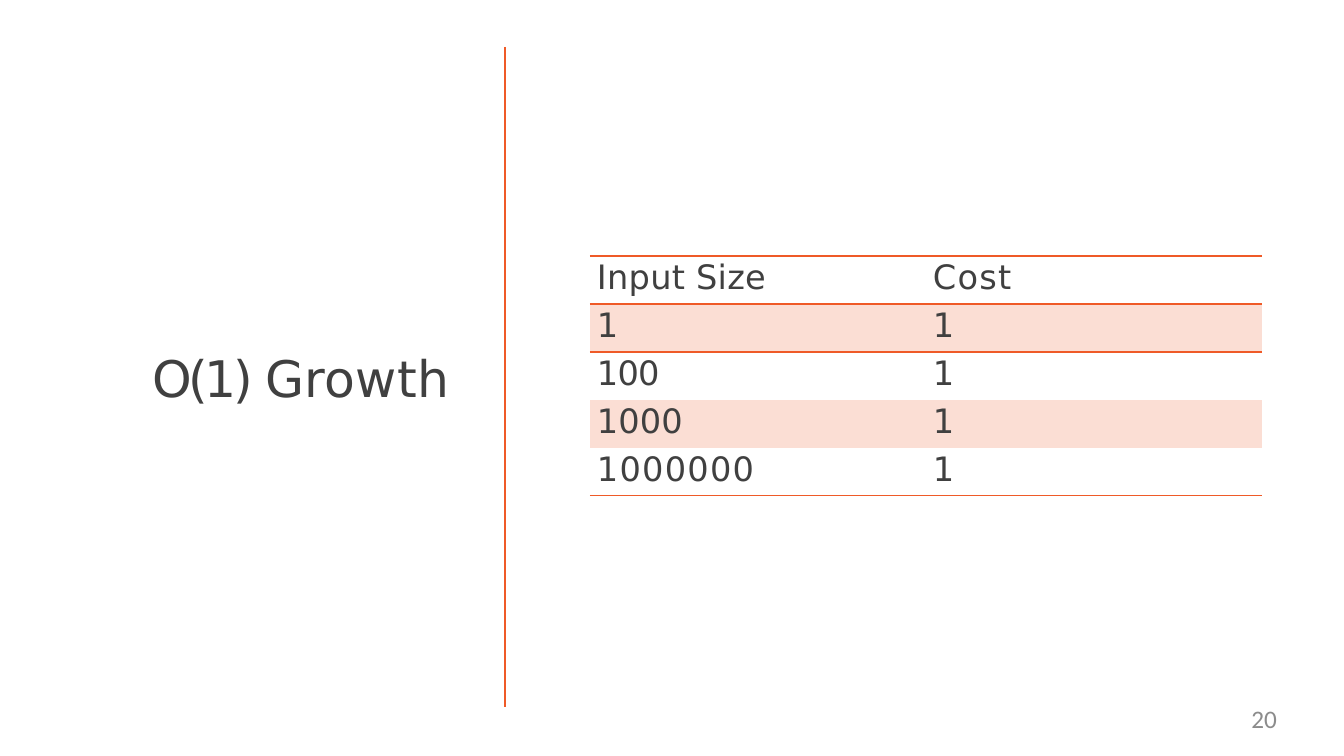
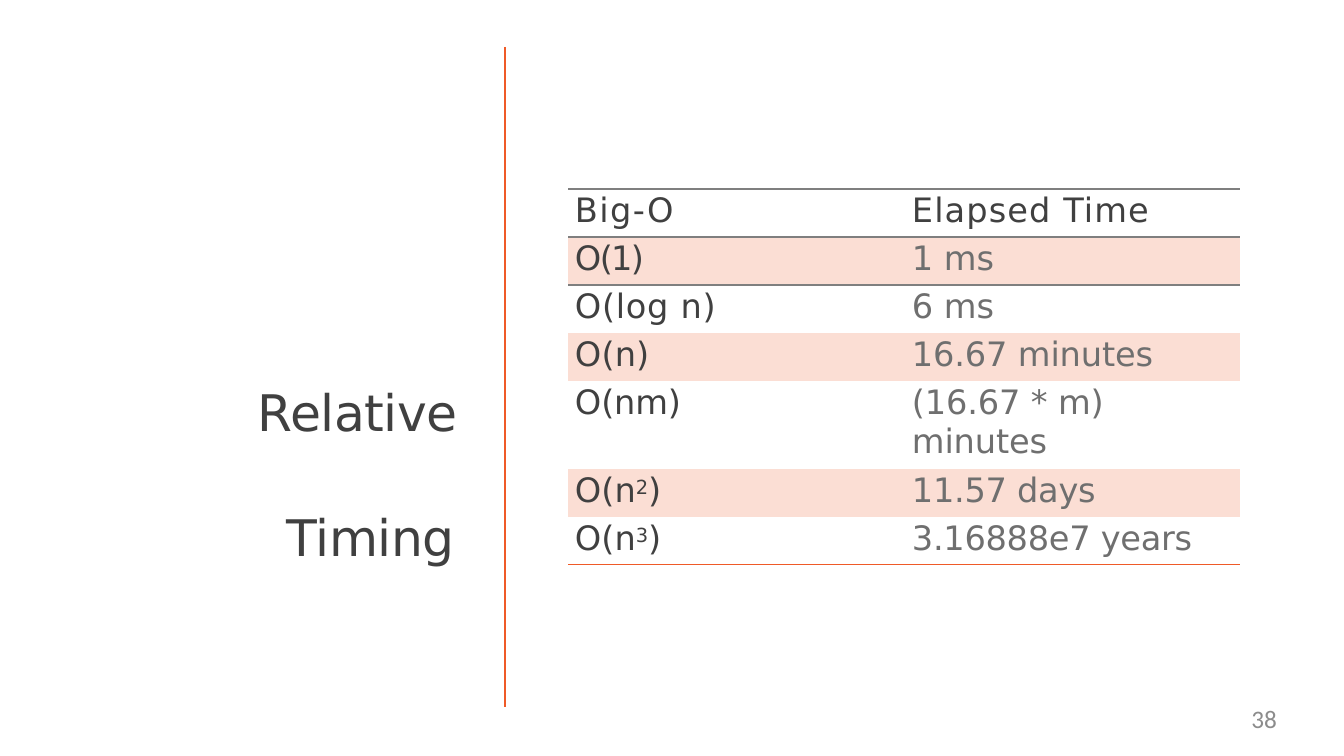
from lxml import etree
from pptx import Presentation
from pptx.dml.color import RGBColor
from pptx.enum.shapes import MSO_CONNECTOR
from pptx.enum.text import MSO_ANCHOR, MSO_AUTO_SIZE, PP_ALIGN
from pptx.oxml.ns import qn
from pptx.util import Emu, Pt

STRAIGHT = MSO_CONNECTOR.STRAIGHT
TOP = MSO_ANCHOR.TOP
NO_AUTOSIZE = MSO_AUTO_SIZE.NONE
LEFT, RIGHT = PP_ALIGN.LEFT, PP_ALIGN.RIGHT

SCALE = 914400 / 100.8
SLIDE_SIZE = (1344, 756)
TITLE_ONLY = 5
PLAIN_TABLE_STYLE = "{2D5ABB26-0587-4C30-8999-92F81FD0307C}"

ORANGE = "EF5A28"
PEACH = "FBDED4"
DARK = "404040"
MEDIUM = "6F6F6F"
RULE_GRAY = "7F7F7F"
LIGHT = "8C8C8C"
TEXT_FONT = "DejaVu Sans"
NUMBER_FONT = "Calibri"

ROW_HEIGHT = 48
TALL_ROW_HEIGHT = 88
CELL_INDENT = 7

GROWTH_ROWS = [
    (("Input Size", 0.2), ("Cost", 0.9)),
    (("1", 0), ("1", 0)),
    (("100", -0.6), ("1", 0)),
    (("1000", 0.1), ("1", 0)),
    (("1000000", 0.9), ("1", 0)),
]
TIMING_ROWS = [
    (("Big-O", 1), ("Elapsed Time", 0.8)),
    (("O(1)", -1.2), ("1 ms", 0)),
    (("O(log n)", 0.5), ("6 ms", 0)),
    (("O(n)", 0.1), ("16.67 minutes", -0.1)),
    (("O(nm)", -0.1), ("(16.67 * m)\nminutes", -0.1)),
    (("O(n^2)", 0), ("11.57 days", -0.2)),
    (("O(n^3)", 0), ("3.16888e7 years", -0.2)),
]


def px(length):
    return Emu(round(length * SCALE))


def color(value):
    return RGBColor.from_string(value)


def format_run(run, size, ink, font=TEXT_FONT, spacing=0):
    run.font.name = font
    run.font.size = Pt(size)
    run.font.color.rgb = color(ink)
    run.font._element.set("spc", str(round(spacing * 100)))


def prepare_frame(frame):
    frame.margin_left = frame.margin_right = frame.margin_bottom = 0
    frame.margin_top = 0
    frame.vertical_anchor = TOP
    frame.auto_size = NO_AUTOSIZE
    frame.word_wrap = True


def place(shape, left, top, width, height):
    shape.left, shape.top = px(left), px(top)
    shape.width, shape.height = px(width), px(height)


def add_title(slide, box, runs, hanging=0, line_spacing=1.0):
    title = slide.shapes.title
    place(title, *box)
    prepare_frame(title.text_frame)
    title.text_frame.margin_top = px(1)
    paragraph = title.text_frame.paragraphs[0]
    paragraph.alignment = LEFT
    paragraph.space_before = Pt(1)
    paragraph.line_spacing = line_spacing
    properties = paragraph._p.get_or_add_pPr()
    properties.set("marL", str(px(hanging + 1)))
    properties.set("indent", str(px(-hanging)))
    for text, spacing in runs:
        run = paragraph.add_run()
        run.text = text
        format_run(run, 36, DARK, spacing=spacing)


def add_divider(slide):
    divider = slide.shapes.add_connector(STRAIGHT, px(505), px(47), px(505), px(707))
    divider.line.color.rgb = color(ORANGE)
    divider.line.width = Pt(2.04)
    etree.SubElement(divider._element.spPr, qn("a:effectLst"))


def add_page_number(slide, number):
    box = slide.shapes.add_textbox(px(968), px(703), px(309), px(38))
    prepare_frame(box.text_frame)
    box.text_frame.text = str(number)
    paragraph = box.text_frame.paragraphs[0]
    paragraph.alignment = RIGHT
    format_run(paragraph.runs[0], 18, LIGHT, NUMBER_FONT)


def add_border(cell, side, ink):
    border = etree.SubElement(cell._tc.get_or_add_tcPr(), qn("a:" + side), w=str(Pt(1)))
    fill = etree.SubElement(border, qn("a:solidFill"))
    etree.SubElement(fill, qn("a:srgbClr"), val=ink)


def write_paragraph(paragraph, text, ink, spacing):
    base, mark, rest = text.partition("^")
    for part, raised in ((base, False), (rest[:1], True), (rest[1:], False)):
        if part:
            run = paragraph.add_run()
            run.text = part
            format_run(run, 24, ink, spacing=spacing)
            if raised:
                run.font._element.set("baseline", "24000")


def write_cell(cell, text, spacing, ink, indent):
    cell.margin_left = px(indent)
    cell.margin_right = cell.margin_bottom = 0
    cell.margin_top = px(2)
    cell.vertical_anchor = TOP
    frame = cell.text_frame
    for index, line in enumerate(text.split("\n")):
        paragraph = frame.add_paragraph() if index else frame.paragraphs[0]
        paragraph.space_before = Pt(0 if index else 1.8)
        write_paragraph(paragraph, line, ink, spacing)


def add_data_table(slide, left, top, widths, rows, indent, value_ink, rule_ink):
    heights = [TALL_ROW_HEIGHT if "\n" in row[1][0] else ROW_HEIGHT for row in rows]
    frame = slide.shapes.add_table(
        len(rows), 2, px(left), px(top), px(sum(widths)), px(sum(heights)))
    table = frame.table
    table.first_row = table.horz_banding = False
    table._tbl.tblPr.find(qn("a:tableStyleId")).text = PLAIN_TABLE_STYLE
    for column, width in zip(table.columns, widths):
        column.width = px(width)
    last = len(rows) - 1
    for row_index, (row, height) in enumerate(zip(rows, heights)):
        table.rows[row_index].height = px(height)
        for column_index, (text, spacing) in enumerate(row):
            cell = table.cell(row_index, column_index)
            is_value = row_index > 0 and column_index == 1
            write_cell(cell, text, spacing, value_ink if is_value else DARK,
                       indent if column_index else CELL_INDENT)
            if row_index == 0:
                add_border(cell, "lnT", rule_ink)
            if row_index in (0, 1, last):
                add_border(cell, "lnB", ORANGE if row_index == last else rule_ink)
            if row_index % 2:
                cell.fill.solid()
                cell.fill.fore_color.rgb = color(PEACH)
            else:
                cell.fill.background()


def add_slide(presentation, number):
    slide = presentation.slides.add_slide(presentation.slide_layouts[TITLE_ONLY])
    add_divider(slide)
    add_page_number(slide, number)
    return slide


def main():
    presentation = Presentation()
    presentation.slide_width, presentation.slide_height = map(px, SLIDE_SIZE)

    growth = add_slide(presentation, 20)
    add_title(growth, (152, 346, 310, 64), [("O(1) ", -2.6), ("Growth", 0.2)])
    add_data_table(growth, 590, 256, (264, 408), GROWTH_ROWS, 79, DARK, ORANGE)

    timing = add_slide(presentation, 38)
    add_title(timing, (257, 316, 210, 124), [("Relative Timing", -0.4)],
              hanging=29, line_spacing=2.06)
    add_data_table(timing, 568, 189, (247, 425), TIMING_ROWS, 97, MEDIUM, RULE_GRAY)

    presentation.save("out.pptx")


main()
